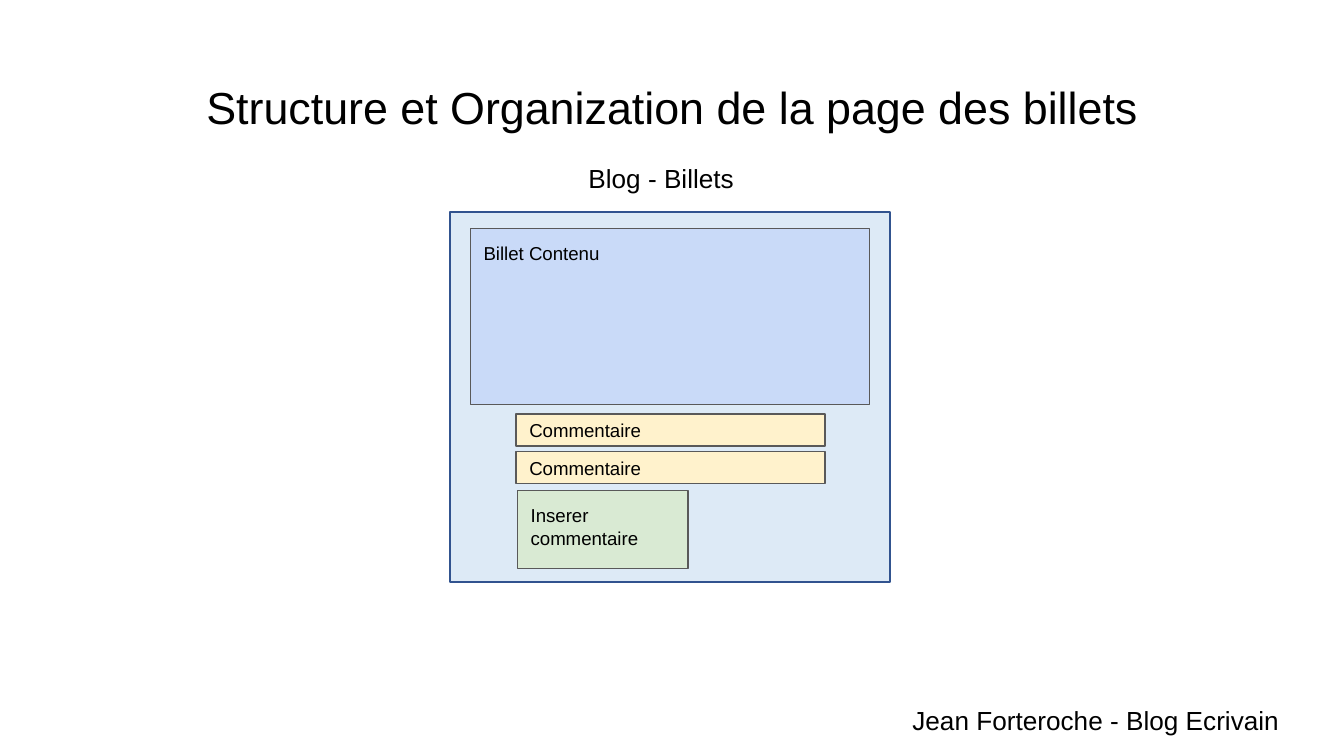
from pptx import Presentation
from pptx.dml.color import RGBColor
from pptx.enum.shapes import MSO_SHAPE
from pptx.enum.text import MSO_ANCHOR, PP_ALIGN
from pptx.util import Inches, Pt

COLORS = {
    "text": "000000",
    "page": "DDEAF6",
    "page_border": "31538F",
    "post": "C9DAF8",
    "comment": "FFF2CC",
    "form": "D9EAD3",
    "border": "595959",
}
SLIDE_WIDTH = 10
COMMENT_COUNT = 2
COMMENT_TOP = 3.08
COMMENT_STEP = 0.28


def color(name):
    return RGBColor.from_string(COLORS[name])


def write_text(shape, text, size, align=PP_ALIGN.LEFT, anchor=MSO_ANCHOR.TOP):
    frame = shape.text_frame
    frame.word_wrap = True
    frame.vertical_anchor = anchor
    frame.margin_left = frame.margin_right = Inches(0.1)
    frame.margin_top = frame.margin_bottom = Inches(0.1)
    paragraph = frame.paragraphs[0]
    paragraph.alignment = align
    run = paragraph.add_run()
    run.text = text
    run.font.name = "Arial"
    run.font.size = Pt(size)
    run.font.color.rgb = color("text")


def add_label(slide, box, text, size, align=PP_ALIGN.LEFT):
    shape = slide.shapes.add_textbox(*map(Inches, box))
    write_text(shape, text, size, align)


def add_block(slide, box, fill, border="border", width=0.75):
    shape = slide.shapes.add_shape(MSO_SHAPE.RECTANGLE, *map(Inches, box))
    shape.shadow.inherit = False
    shape.fill.solid()
    shape.fill.fore_color.rgb = color(fill)
    shape.line.color.rgb = color(border)
    shape.line.width = Pt(width)
    return shape


def add_blog_post(slide):
    post = add_block(slide, (3.5, 1.7, 2.97, 1.31), "post")
    write_text(post, "Billet Contenu", 10)
    for index in range(COMMENT_COUNT):
        top = COMMENT_TOP + index * COMMENT_STEP
        comment = add_block(slide, (3.84, top, 2.3, 0.24), "comment")
        write_text(comment, "Commentaire", 10, anchor=MSO_ANCHOR.MIDDLE)
    form = add_block(slide, (3.85, 3.65, 1.27, 0.58), "form")
    write_text(form, "Inserer commentaire", 10)


def main():
    presentation = Presentation()
    presentation.slide_width = Inches(SLIDE_WIDTH)
    presentation.slide_height = Inches(SLIDE_WIDTH * 9 / 16)
    slide = presentation.slides.add_slide(presentation.slide_layouts[6])
    add_label(slide, (0.34, 0.49, 9.32, 0.63),
              "Structure et Organization de la page des billets", 24, PP_ALIGN.CENTER)
    add_label(slide, (6.69, 5.14, 2.97, 0.35), "Jean Forteroche - Blog Ecrivain", 14)
    add_block(slide, (3.35, 1.58, 3.27, 2.75), "page", "page_border", 1)
    add_label(slide, (4.28, 1.11, 1.42, 0.43), "Blog - Billets", 14)
    add_blog_post(slide)
    presentation.save("out.pptx")


if __name__ == "__main__":
    main()
